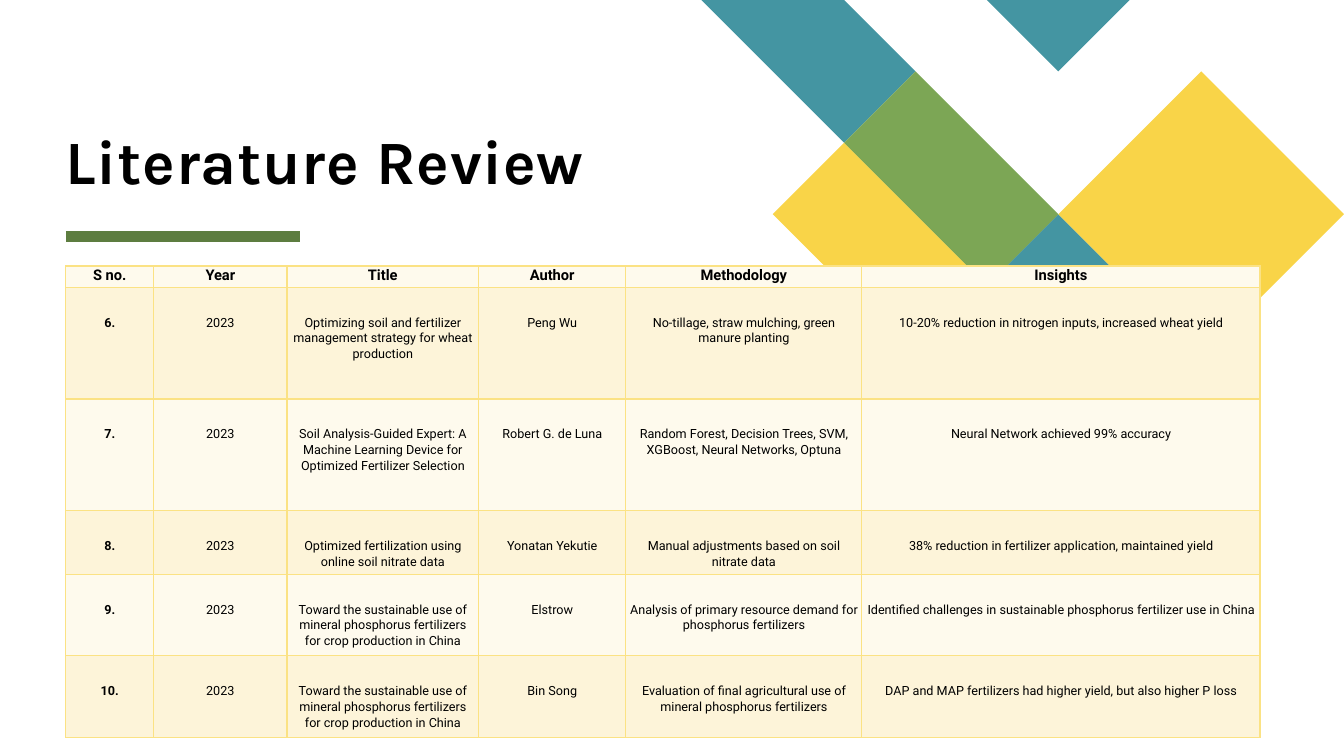
from pptx import Presentation
from pptx.dml.color import RGBColor
from pptx.enum.shapes import MSO_CONNECTOR as Connector
from pptx.enum.text import MSO_ANCHOR as Anchor, PP_ALIGN as Align
from pptx.oxml.ns import qn
from pptx.util import Pt
from lxml.etree import SubElement

TEAL, YELLOW, GREEN = "4495A2", "F9D448", "7CA655"
DARK_GREEN, BORDER = "5D7D40", "FBE284"
BANDS = ["FEFAED", "FDF4D9"]

# Corners of the diamonds, in steps of a grid that starts at the top edge
GRID_LEFT, GRID_STEP = 501, 51
DIAMONDS = [
    (TEAL, [(3, 1), (2, 0), (0, 0), (2, 2)]),
    (TEAL, [(6, 4), (5, 3), (4, 4), (5, 5)]),
    (YELLOW, [(2, 2), (1, 3), (3, 5), (4, 4)]),
    (TEAL, [(6, 0), (4, 0), (5, 1)]),
    (GREEN, [(3, 1), (2, 2), (4, 4), (5, 3)]),
    (YELLOW, [(9, 3), (7, 1), (5, 3), (7, 5)]),
]

COLUMN_WIDTHS = [62.8, 95.2, 136.9, 105.2, 168.6, 284.4]
ROW_HEIGHTS = [15.2, 79.8, 79.8, 45.4, 58.2, 58.2]
PAPERS = [
    ["S no.", "Year", "Title", "Author", "Methodology", "Insights"],
    ["6.", "2023",
     "Optimizing soil and fertilizer management strategy for wheat production",
     "Peng Wu", "No-tillage, straw mulching, green manure planting",
     "10-20% reduction in nitrogen inputs, increased wheat yield"],
    ["7.", "2023",
     "Soil Analysis-Guided Expert: A Machine Learning Device for "
     "Optimized Fertilizer Selection",
     "Robert G. de Luna",
     "Random Forest, Decision Trees, SVM, XGBoost, Neural Networks, Optuna",
     "Neural Network achieved 99% accuracy"],
    ["8.", "2023", "Optimized fertilization using online soil nitrate data",
     "Yonatan Yekutie", "Manual adjustments based on soil nitrate data",
     "38% reduction in fertilizer application, maintained yield"],
    ["9.", "2023",
     "Toward the sustainable use of mineral phosphorus fertilizers "
     "for crop production in China",
     "Elstrow",
     "Analysis of primary resource demand for phosphorus fertilizers",
     "Identified challenges in sustainable phosphorus fertilizer use in China"],
    ["10.", "2023",
     "Toward the sustainable use of mineral phosphorus fertilizers "
     "for crop production in China",
     "Bin Song",
     "Evaluation of final agricultural use of mineral phosphorus fertilizers",
     "DAP and MAP fertilizers had higher yield, but also higher P loss"],
]


def colour(value):
    return RGBColor.from_string(value)


def write(frame, text, font="Roboto", size=9, bold=False, align=Align.CENTER,
          line_spacing=1.07, tracking=0):
    para = frame.paragraphs[0]
    para.alignment, para.line_spacing = align, line_spacing
    span = para.add_run()
    span.text = text
    span.font.name, span.font.size, span.font.bold = font, Pt(size), bold
    span.font.color.rgb = colour("000000")
    if tracking:
        span.font._element.set("spc", str(round(tracking * 100)))


def set_margins(box, left, top, right, bottom):
    box.margin_left, box.margin_top = Pt(left), Pt(top)
    box.margin_right, box.margin_bottom = Pt(right), Pt(bottom)


def add_diamond(page, fill, corners):
    builder = page.shapes.build_freeform(*corners[0], scale=Pt(GRID_STEP))
    builder.add_line_segments(corners[1:], close=True)
    diamond = builder.convert_to_shape(Pt(GRID_LEFT), Pt(0))
    diamond.shadow.inherit = False
    diamond.fill.solid()
    diamond.fill.fore_color.rgb = colour(fill)
    diamond.line.fill.background()


def add_rule(page, left, right, top, weight, fill):
    rule = page.shapes.add_connector(
        Connector.STRAIGHT, Pt(left), Pt(top), Pt(right), Pt(top))
    rule.line.color.rgb, rule.line.width = colour(fill), Pt(weight)
    SubElement(rule._element.spPr, qn("a:effectLst"))


def set_title(page, text):
    title = page.shapes.title
    title.left, title.top = Pt(47), Pt(91.5)
    title.width, title.height = Pt(534), Pt(49)
    frame = title.text_frame
    set_margins(frame, 0, 0, 0, 0)
    frame.vertical_anchor, frame.word_wrap = Anchor.BOTTOM, True
    write(frame, text, font="Karla", size=44, bold=True, align=Align.LEFT,
          line_spacing=0.8, tracking=0.5)


def add_borders(cell, fill, weight):
    properties = cell._tc.get_or_add_tcPr()
    for side in ("a:lnL", "a:lnR", "a:lnT", "a:lnB"):
        line = SubElement(properties, qn(side), w=str(Pt(weight)))
        solid = SubElement(line, qn("a:solidFill"))
        SubElement(solid, qn("a:srgbClr"), val=fill)


def add_table(page, rows, left, top):
    table = page.shapes.add_table(
        len(rows), len(COLUMN_WIDTHS), Pt(left), Pt(top),
        Pt(sum(COLUMN_WIDTHS)), Pt(sum(ROW_HEIGHTS))).table
    table.first_row = table.horz_banding = False
    for column, width in zip(table.columns, COLUMN_WIDTHS):
        column.width = Pt(width)
    for r, (texts, height) in enumerate(zip(rows, ROW_HEIGHTS)):
        table.rows[r].height = Pt(height)
        header = r == 0
        for c, text in enumerate(texts):
            cell = table.cell(r, c)
            set_margins(cell, 3, 0 if header else 19.3, 3, 0)
            add_borders(cell, BORDER, 1)
            cell.fill.solid()
            cell.fill.fore_color.rgb = colour(BANDS[r % 2])
            write(cell.text_frame, text, size=10.5 if header else 9,
                  bold=header or c == 0)


def main():
    deck = Presentation()
    deck.slide_width, deck.slide_height = Pt(960), Pt(540)
    page = deck.slides.add_slide(deck.slide_layouts[5])

    # Decoration
    for fill, corners in DIAMONDS:
        add_diamond(page, fill, corners)
    add_rule(page, 47, 214.5, 169, 8, DARK_GREEN)

    # Content
    set_title(page, "Literature Review")
    add_table(page, PAPERS, 47, 190)

    deck.save("out.pptx")


if __name__ == "__main__":
    main()
